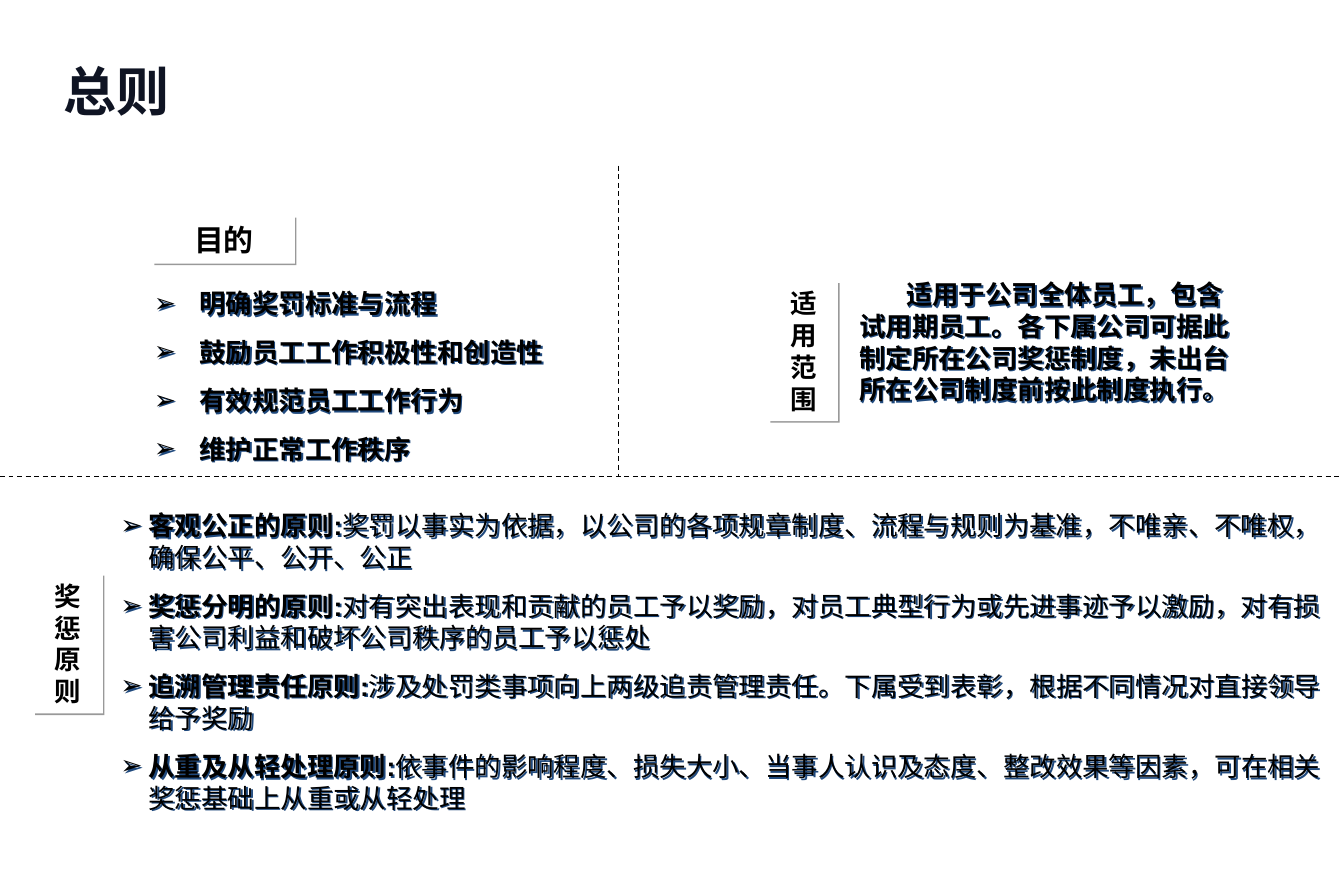
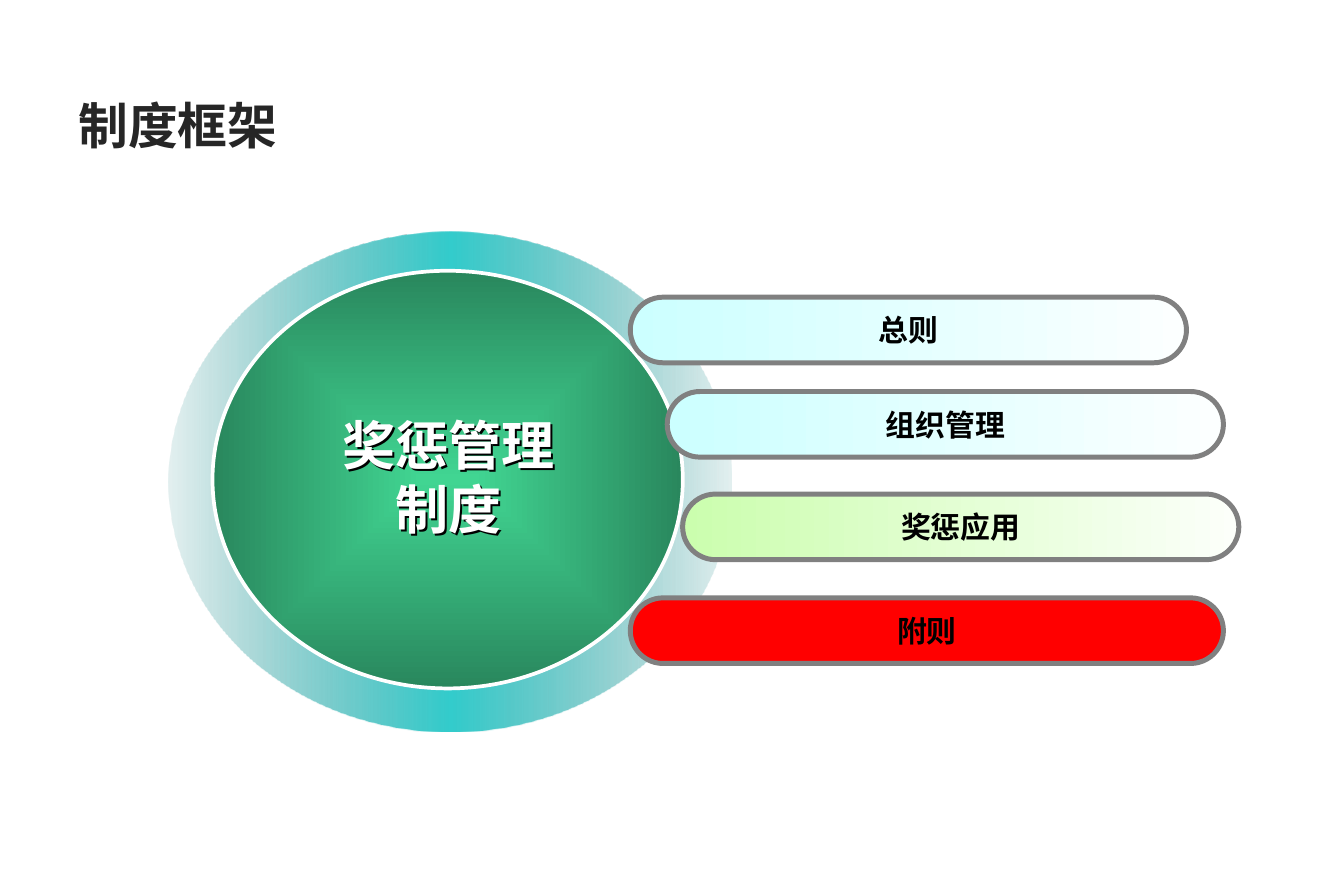
from dataclasses import dataclass
from typing import NamedTuple, Optional

from lxml import etree
from pptx import Presentation
from pptx.dml.color import RGBColor
from pptx.enum.dml import MSO_LINE
from pptx.enum.lang import MSO_LANGUAGE_ID
from pptx.enum.shapes import MSO_CONNECTOR, MSO_SHAPE
from pptx.enum.text import MSO_ANCHOR, PP_ALIGN
from pptx.oxml.ns import qn
from pptx.util import Pt

RECT, PILL = MSO_SHAPE.RECTANGLE, MSO_SHAPE.ROUNDED_RECTANGLE
OVAL, DONUT = MSO_SHAPE.OVAL, MSO_SHAPE.DONUT
STRAIGHT, DASH = MSO_CONNECTOR.STRAIGHT, MSO_LINE.DASH
LEFT, CENTER = PP_ALIGN.LEFT, PP_ALIGN.CENTER
TOP, MIDDLE = MSO_ANCHOR.TOP, MSO_ANCHOR.MIDDLE
CHINESE = MSO_LANGUAGE_ID.SIMPLIFIED_CHINESE

SLIDE_W, SLIDE_H = 810.72, 540
BODY_FONT, HEADING_FONT = "Arial", "DejaVu Sans"
LINE_RATIO = 1.2
PARAGRAPH_GAP = 10
COLORS = {
    "white": "FFFFFF", "black": "000000", "heading": "0F1423", "title": "262626",
    "label_shadow": "999999", "text_shadow": "1F497D", "pill_line": "808080",
    "ring_edge": "228888", "ring_mid": "33CCCC",
    "core_in": "41D592", "core_out": "29875D",
    "aqua": "CCFFFF", "aqua_pale": "FCFFFF",
    "lime": "CBFEAE", "lime_pale": "FCFFFA", "red": "FF0000",
}


class Box(NamedTuple):
    left: float
    top: float
    width: float
    height: float


class Stop(NamedTuple):
    position: int
    color: str
    opacity: int = 100


@dataclass
class Label:
    text: str
    box: Box
    size: float = 16


@dataclass
class Chapter:
    text: str
    left: float
    top: float
    width: float
    stops: list[Stop]


def rgb(color: str) -> RGBColor:
    return RGBColor.from_string(COLORS[color])


def add_color(parent, color: str, opacity: int = 100) -> None:
    node = etree.SubElement(parent, qn("a:srgbClr"), val=COLORS[color])
    if opacity < 100:
        etree.SubElement(node, qn("a:alpha"), val=str(opacity * 1000))


def set_shadow(shape, color: Optional[str], distance: float = 1.4) -> None:
    """Drop the inherited shadow and, if a colour is given, cast one at 45 degrees."""
    shape.shadow.inherit = False
    if color:
        effects = shape._element.spPr.find(qn("a:effectLst"))
        cast = etree.SubElement(effects, qn("a:outerShdw"), blurRad="0",
                                dist=str(Pt(distance)), dir="2700000", algn="ctr")
        add_color(cast, color)


def set_fill(shape, stops: list[Stop], from_center: bool = False) -> None:
    if len(stops) == 1:
        shape.fill.solid()
        shape.fill.fore_color.rgb = rgb(stops[0].color)
        return
    shape.fill.gradient()
    gradient = shape._element.spPr.find(qn("a:gradFill"))
    gradient.clear()
    stop_list = etree.SubElement(gradient, qn("a:gsLst"))
    for stop in stops:
        node = etree.SubElement(stop_list, qn("a:gs"), pos=str(stop.position * 1000))
        add_color(node, stop.color, stop.opacity)
    if from_center:
        center = etree.SubElement(gradient, qn("a:path"), path="rect")
        sides = dict.fromkeys("ltrb", "50000")
        etree.SubElement(center, qn("a:fillToRect"), **sides)
    else:
        etree.SubElement(gradient, qn("a:lin"), ang="0", scaled="0")


def write_text(shape, paragraphs: list, *, size: float, color: str = "black",
               font: str = BODY_FONT, align=LEFT, anchor=TOP, wrap: bool = True,
               gap: float = 0, margin: float = 0, indent: float = 0,
               bullet: str = "") -> None:
    """Each paragraph is a bold string or a (bold, regular) pair."""
    frame = shape.text_frame
    frame.word_wrap = wrap
    frame.vertical_anchor = anchor
    for index, content in enumerate(paragraphs):
        paragraph = frame.add_paragraph() if index else frame.paragraphs[0]
        paragraph.alignment = align
        paragraph.line_spacing = Pt(size * LINE_RATIO)
        paragraph.space_before = Pt(gap if index else 0)
        properties = paragraph._p.get_or_add_pPr()
        properties.set("marL", str(Pt(margin)))
        properties.set("indent", str(Pt(indent)))
        if bullet:
            add_color(etree.SubElement(properties, qn("a:buClr")), "black")
            etree.SubElement(properties, qn("a:buFont"), typeface=font)
            etree.SubElement(properties, qn("a:buChar"), char=bullet)
        parts = (content,) if isinstance(content, str) else content
        for part_index, part in enumerate(parts):
            run = paragraph.add_run()
            run.text = part
            run.font.name = font
            run.font.size = Pt(size)
            run.font.bold = part_index == 0
            run.font.color.rgb = rgb(color)
            run.font.language_id = CHINESE


def add_text(slide, box: Box, paragraphs: list, shadow: Optional[str] = None,
             **style) -> None:
    area = slide.shapes.add_textbox(*map(Pt, box))
    set_shadow(area, shadow)
    write_text(area, paragraphs, **style)


def add_figure(slide, kind, box: Box, stops: list[Stop], *, line: Optional[str] = None,
               line_width: float = 0, shadow: Optional[str] = None,
               from_center: bool = False):
    figure = slide.shapes.add_shape(kind, *map(Pt, box))
    set_fill(figure, stops, from_center)
    if line:
        figure.line.color.rgb = rgb(line)
        figure.line.width = Pt(line_width)
    else:
        figure.line.fill.background()
    set_shadow(figure, shadow)
    return figure


def add_divider(slide, x1: float, y1: float, x2: float, y2: float) -> None:
    divider = slide.shapes.add_connector(STRAIGHT, Pt(x1), Pt(y1), Pt(x2), Pt(y2))
    divider.line.color.rgb = rgb("black")
    divider.line.width = Pt(0.75)
    divider.line.dash_style = DASH
    etree.SubElement(divider._element.spPr, qn("a:effectLst"))


def add_label(slide, label: Label) -> None:
    plate = add_figure(slide, RECT, label.box, [Stop(0, "white")], shadow="label_shadow")
    write_text(plate, [label.text], size=label.size, align=CENTER)


def add_chapter(slide, chapter: Chapter) -> None:
    box = Box(chapter.left, chapter.top, chapter.width, 39.6)
    pill = add_figure(slide, PILL, box, chapter.stops, line="pill_line", line_width=3)
    pill.adjustments[0] = 0.5
    write_text(pill, [chapter.text], size=18, align=CENTER, anchor=MIDDLE, wrap=False)


PURPOSES = ["明确奖罚标准与流程", "鼓励员工工作积极性和创造性",
            "有效规范员工工作行为", "维护正常工作秩序"]
SCOPE = ("适用于公司全体员工，包含试用期员工。各下属公司可据此制定所在公司奖惩制度，"
         "未出台所在公司制度前按此制度执行。")
PRINCIPLES = [
    ("客观公正的原则:",
     "奖罚以事实为依据，以公司的各项规章制度、流程与规则为基准，不唯亲、不唯权，"
     "确保公平、公开、公正"),
    ("奖惩分明的原则:",
     "对有突出表现和贡献的员工予以奖励，对员工典型行为或先进事迹予以激励，"
     "对有损害公司利益和破坏公司秩序的员工予以惩处"),
    ("追溯管理责任原则:",
     "涉及处罚类事项向上两级追责管理责任。下属受到表彰，根据不同情况对直接领导给予奖励"),
    ("从重及从轻处理原则:",
     "依事件的影响程度、损失大小、当事人认识及态度、整改效果等因素，"
     "可在相关奖惩基础上从重或从轻处理"),
]
LABELS = [
    Label("目的", Box(92.2, 130.3, 85.7, 28.8), 18),
    Label("适用范围", Box(463.7, 169.9, 41.8, 84.2)),
    Label("奖惩原则", Box(20.2, 346.3, 41.8, 84.2)),
]
AQUA = [Stop(0, "aqua"), Stop(100, "aqua_pale")]
LIME = [Stop(0, "lime"), Stop(100, "lime_pale")]
CHAPTERS = [
    Chapter("总则", 380.2, 179.3, 335.5, AQUA),
    Chapter("组织管理", 402.5, 236.2, 335.5, AQUA),
    Chapter("奖惩应用", 411.8, 298.1, 335.5, LIME),
    Chapter("附则", 380.2, 360.7, 357.8, [Stop(0, "red")]),
]


def build_general_rules(slide) -> None:
    add_text(slide, Box(31, 31.7, 533.5, 46.1), ["总则"], size=32,
             color="heading", font=HEADING_FONT)

    # Dividers between the three areas
    middle = 287.3
    add_divider(slide, 0, middle, 807.8, middle)
    add_divider(slide, 373, 100, 373, middle)

    for label in LABELS:
        add_label(slide, label)

    # Purposes, scope and principles
    body = dict(size=16, gap=PARAGRAPH_GAP, shadow="text_shadow")
    add_text(slide, Box(85.7, 169.9, 355, 114.5), PURPOSES,
             bullet="➢", margin=27.5, indent=-27.5, **body)
    add_text(slide, Box(511.2, 164.2, 249.1, 84.2), [SCOPE], indent=28.3, **body)
    add_text(slide, Box(65.5, 303.8, 743, 190.8), PRINCIPLES,
             bullet="➢", margin=17, indent=-17, **body)


def build_framework(slide) -> None:
    add_text(slide, Box(40.3, 47.5, 729.4, 55.4), ["制度框架"], size=30,
             color="title", anchor=MIDDLE)

    # Ring with the core inside
    ring = add_figure(slide, DONUT, Box(101.5, 139.7, 339.8, 301.7),
                      [Stop(0, "ring_edge", 12), Stop(50, "ring_mid"),
                       Stop(100, "ring_edge", 12)])
    ring.adjustments[0] = 0.1
    add_figure(slide, OVAL, Box(128.2, 163.4, 283.7, 252),
               [Stop(0, "core_in"), Stop(100, "core_out")],
               line="white", line_width=2.25, from_center=True)
    add_text(slide, Box(177.8, 245.5, 185.8, 84.2), ["奖惩管理", "制度"], size=32,
             color="white", align=CENTER, shadow="black")

    for chapter in CHAPTERS:
        add_chapter(slide, chapter)


def main() -> None:
    deck = Presentation()
    deck.slide_width, deck.slide_height = Pt(SLIDE_W), Pt(SLIDE_H)
    blank = deck.slide_layouts[6]
    for build in (build_general_rules, build_framework):
        build(deck.slides.add_slide(blank))
    deck.save("out.pptx")


if __name__ == "__main__":
    main()
